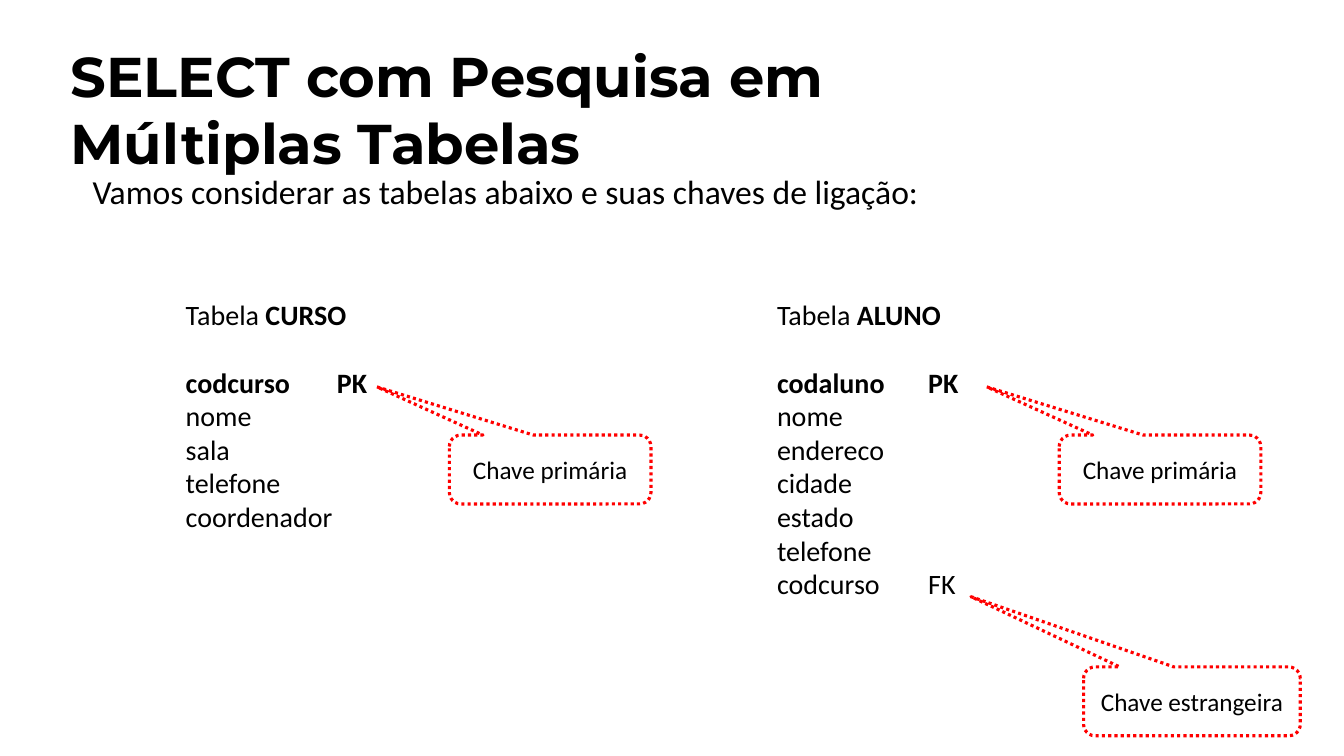
from dataclasses import dataclass

from lxml.etree import SubElement
from pptx import Presentation
from pptx.dml.color import RGBColor
from pptx.enum.dml import MSO_LINE
from pptx.enum.shapes import MSO_SHAPE
from pptx.enum.text import MSO_ANCHOR as Anchor, MSO_AUTO_SIZE as AutoSize, PP_ALIGN as Align
from pptx.oxml.ns import qn
from pptx.util import Emu, Inches, Pt

# Grid of 160 columns by 90 rows over the slide
COLS, ROWS = 160, 90
BLACK, RED = "000000", "FF0000"
BODY_FONT, TITLE_FONT = "Calibri", "Montserrat"
LIST_SIZE, LINE_SPACING = 20, 1.22


@dataclass
class Box:
    col: float
    row: float
    cols: float
    rows: float


@dataclass
class Field:
    name: str
    key: str = ""
    key_col: float = 0
    bold: bool = False


@dataclass
class TableList:
    name: str
    box: Box
    fields: list[Field]


@dataclass
class Callout:
    text: str
    box: Box
    tip: tuple[float, float]


TITLE = "SELECT com Pesquisa em Múltiplas Tabelas"
TITLE_BOX = Box(7.2, 4.3, 122, 9.2)
INTRO = "Vamos considerar as tabelas abaixo e suas chaves de ligação:"
INTRO_BOX = Box(0.84, 19.8, 145.4, 10.9)
INTRO_INDENT = 9

TABLES = [
    TableList("CURSO", Box(20.9, 34.8, 42, 33.5), [
        Field("codcurso", "PK", 15.4, True),
        *map(Field, ["nome", "sala", "telefone", "coordenador"]),
    ]),
    TableList("ALUNO", Box(91.3, 34.8, 42, 41.6), [
        Field("codaluno", "PK", 15.7, True),
        *map(Field, ["nome", "endereco", "cidade", "estado", "telefone"]),
        Field("codcurso", "FK", 16.7),
    ]),
]

PRIMARY_TIP = (-0.86, -1.2)
CALLOUTS = [
    Callout("Chave primária", Box(53.5, 51.8, 24, 8.2), PRIMARY_TIP),
    Callout("Chave primária", Box(126.1, 51.8, 24, 8.2), PRIMARY_TIP),
    Callout("Chave estrangeira", Box(129, 79.4, 25.8, 8.2), (-1.02, -1.52)),
]

prs = Presentation()
prs.slide_width, prs.slide_height = Inches(13.333), Inches(7.5)


def x(cols: float) -> Emu:
    return Emu(round(prs.slide_width * cols / COLS))


def y(rows: float) -> Emu:
    return Emu(round(prs.slide_height * rows / ROWS))


def rgb(color: str) -> RGBColor:
    return RGBColor.from_string(color)


def bounds(box: Box) -> tuple[Emu, Emu, Emu, Emu]:
    return x(box.col), y(box.row), x(box.cols), y(box.rows)


def place(sp, box: Box) -> None:
    sp.left, sp.top, sp.width, sp.height = bounds(box)


def setup_frame(tf, anchor=Anchor.TOP) -> None:
    tf.word_wrap = True
    tf.auto_size = AutoSize.NONE
    tf.vertical_anchor = anchor


def format_runs(p, size: float, font: str = BODY_FONT, bold: bool = False) -> None:
    for r in p.runs:
        r.font.size, r.font.name, r.font.bold = Pt(size), font, bold
        r.font.color.rgb = rgb(BLACK)


def set_indent(p, cols: float) -> None:
    pPr = p._p.get_or_add_pPr()
    pPr.set("marL", "0")
    pPr.set("indent", str(x(cols)))


def add_table_list(sp, table: TableList) -> None:
    place(sp, table.box)
    tf = sp.text_frame
    setup_frame(tf)

    # Heading with the table name in bold
    heading = tf.paragraphs[0]
    heading.text = "Tabela "
    heading.add_run().text = table.name
    format_runs(heading, LIST_SIZE)
    heading.runs[1].font.bold = True

    # One line per field, its key on a tab stop
    for field in table.fields:
        p = tf.add_paragraph()
        p.text = f"{field.name}\t{field.key}" if field.key else field.name
        format_runs(p, LIST_SIZE, bold=field.bold)

    for i, p in enumerate(tf.paragraphs):
        p.space_before = Pt(LIST_SIZE * LINE_SPACING if i == 1 else 0)
        set_indent(p, 0)
        SubElement(p._p.pPr, qn("a:buNone"))
    for p, field in zip(tf.paragraphs[1:], table.fields):
        if field.key:
            tabs = SubElement(p._p.pPr, qn("a:tabLst"))
            SubElement(tabs, qn("a:tab"), pos=str(x(field.key_col)), algn="l")


def add_callout(slide, callout: Callout) -> None:
    sp = slide.shapes.add_shape(MSO_SHAPE.ROUNDED_RECTANGULAR_CALLOUT, *bounds(callout.box))
    sp.adjustments[0], sp.adjustments[1] = callout.tip
    sp.shadow.inherit = False
    sp.fill.background()
    sp.line.color.rgb = rgb(RED)
    sp.line.width = Pt(2.25)
    sp.line.dash_style = MSO_LINE.ROUND_DOT
    setup_frame(sp.text_frame, Anchor.MIDDLE)
    p = sp.text_frame.paragraphs[0]
    p.text = callout.text
    p.alignment = Align.CENTER
    format_runs(p, 18)


def main() -> None:
    slide = prs.slides.add_slide(prs.slide_layouts.get_by_name("Two Content"))

    # Title
    title = slide.shapes.title
    place(title, TITLE_BOX)
    setup_frame(title.text_frame)
    p = title.text_frame.paragraphs[0]
    p.text = TITLE
    p.alignment = Align.LEFT
    format_runs(p, 40, TITLE_FONT, True)

    # Introduction
    intro = slide.shapes.add_textbox(*bounds(INTRO_BOX))
    setup_frame(intro.text_frame)
    p = intro.text_frame.paragraphs[0]
    p.text = INTRO
    set_indent(p, INTRO_INDENT)
    format_runs(p, 24)

    # Tables and their keys
    for idx, table in enumerate(TABLES, start=1):
        add_table_list(slide.placeholders[idx], table)
    for callout in CALLOUTS:
        add_callout(slide, callout)

    prs.save("out.pptx")


if __name__ == "__main__":
    main()
